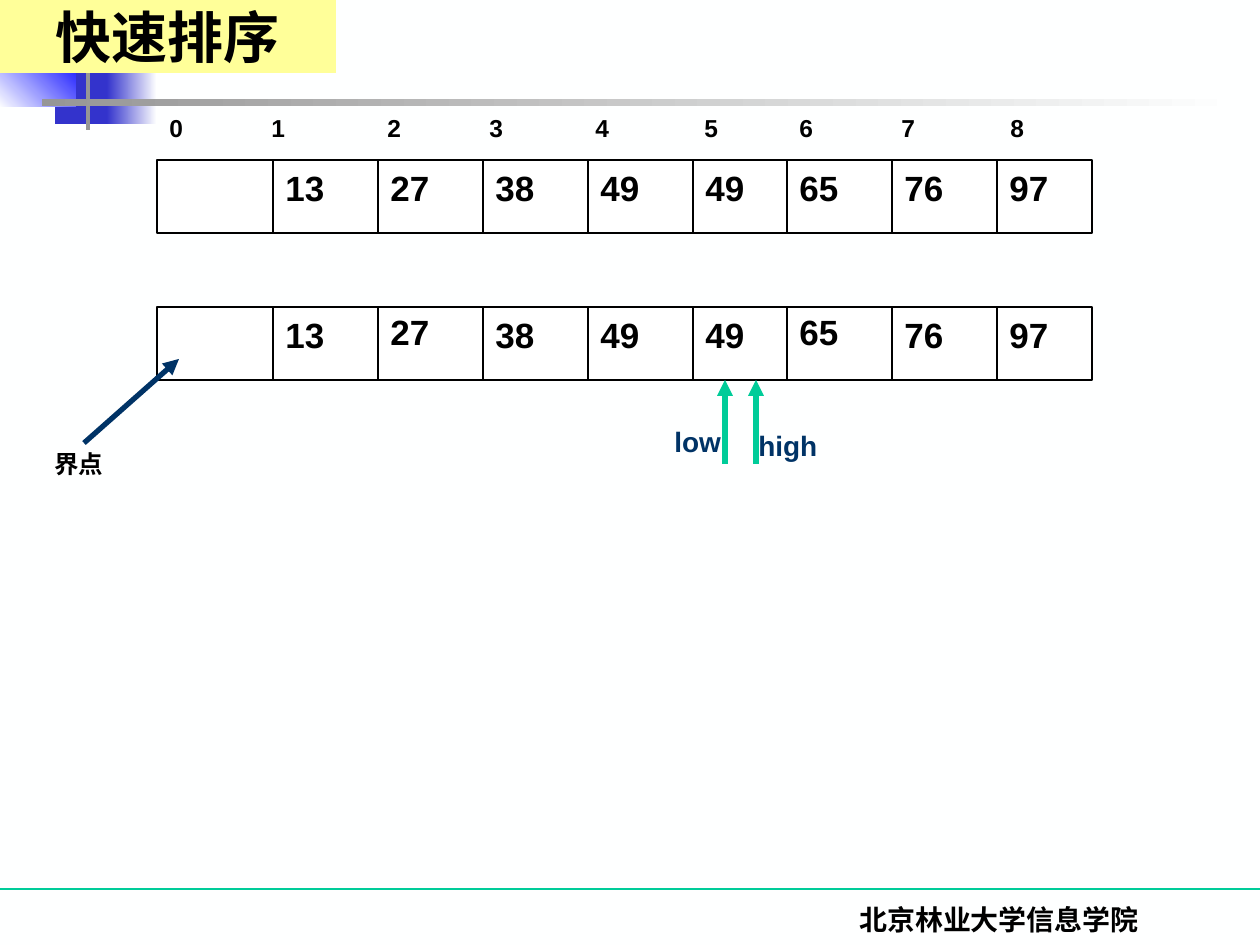
from pptx import Presentation
from pptx.dml.color import RGBColor
from pptx.enum.shapes import MSO_CONNECTOR as CONNECTOR, MSO_SHAPE as SHAPE
from pptx.enum.text import MSO_ANCHOR as ANCHOR, MSO_AUTO_SIZE as AUTO_SIZE, PP_ALIGN as ALIGN
from pptx.oxml.ns import qn
from pptx.util import Pt
from lxml.etree import SubElement

PX = 914400 / 126
COLORS = {
    "background": "FEFFFF", "white": "FFFFFF", "black": "000000", "navy": "003366",
    "indigo": "3333CC", "blue": "0000FF", "gray": "969696", "green": "00CC99",
    "yellow": "FFFF99",
}
SORTED_VALUES = [13, 27, 38, 49, 49, 65, 76, 97]
DIVIDERS = [116, 221, 326, 431, 536, 630, 735, 840]
INDEX_TABS = [102, 218, 320, 426, 535, 630, 732, 841]


def emu(*lengths):
    return [round(length * PX) for length in lengths]


def color(name):
    return RGBColor.from_string(COLORS[name])


def format_text(shape, text, size, name="black", font="Arial", align=ALIGN.LEFT,
                anchor=ANCHOR.TOP, auto_size=AUTO_SIZE.SHAPE_TO_FIT_TEXT, tabs=()):
    frame = shape.text_frame
    frame.text = text
    frame_format = {"word_wrap": True, "auto_size": auto_size, "vertical_anchor": anchor}
    for key, value in frame_format.items():
        setattr(frame, key, value)
    paragraph = frame.paragraphs[0]
    paragraph.alignment = align
    if tabs:
        tab_list = SubElement(paragraph._p.get_or_add_pPr(), qn("a:tabLst"))
        for position in emu(*tabs):
            SubElement(tab_list, qn("a:tab"), pos=str(position), algn="l")
    for key, value in {"size": Pt(size), "bold": True, "name": font}.items():
        setattr(paragraph.font, key, value)
    paragraph.font.color.rgb = color(name)


def add_text(slide, box, text, size, **options):
    shape = slide.shapes.add_textbox(*emu(*box))
    format_text(shape, text, size, **options)


def add_line(slide, start, end, name, width=0.75, arrow=False):
    line = slide.shapes.add_connector(CONNECTOR.STRAIGHT, *emu(*start, *end))
    line.line.color.rgb = color(name)
    line.line.width = Pt(width)
    if arrow:
        SubElement(line.line._get_or_add_ln(), qn("a:tailEnd"), type="triangle")
    SubElement(line._element.spPr, qn("a:effectLst"))


def add_rectangle(slide, box, fill, outline=None, angle=0):
    """Fill with one colour name, or with a gradient between a pair of them."""
    shape = slide.shapes.add_shape(SHAPE.RECTANGLE, *emu(*box))
    shape.shadow.inherit = False
    if isinstance(fill, tuple):
        shape.fill.gradient()
        shape.fill.gradient_angle = angle
        for stop, name in zip(shape.fill.gradient_stops, fill):
            stop.color.rgb = color(name)
    else:
        shape.fill.solid()
        shape.fill.fore_color.rgb = color(fill)
    if outline:
        shape.line.color.rgb = color(outline)
        shape.line.width = Pt(0.75)
    else:
        shape.line.fill.background()


def add_ornament(slide, left, top):
    parts = [
        ((55, 58, 58, 66), "indigo", 0),
        ((107, 58, 50, 66), ("indigo", "background"), 0),
        ((-1, 48, 77, 59), ("background", "blue"), 45),
        ((86, -15, 4, 145), "gray", 0),
        ((42, 99, 1198, 7), ("gray", "background"), 0),
    ]
    for (x, y, width, height), fill, angle in parts:
        add_rectangle(slide, (left + x, top + y, width, height), fill, angle=angle)


def add_title(slide, box):
    title = slide.shapes.title
    for key, value in zip(("left", "top", "width", "height"), emu(*box)):
        setattr(title, key, value)
    title.fill.solid()
    title.fill.fore_color.rgb = color("yellow")
    format_text(title, "快速排序", 32, font="Times New Roman", align=ALIGN.CENTER,
                anchor=ANCHOR.MIDDLE, auto_size=AUTO_SIZE.NONE)
    slide.shapes.element.append(title.element)  # in front of the ornament


def add_array(slide, box, raised=()):
    """Draw the cells; values at the raised positions sit slightly higher."""
    left, top, width, height = box
    add_rectangle(slide, box, "white", outline="black")
    for position, (offset, value) in enumerate(zip(DIVIDERS, SORTED_VALUES), start=1):
        x = left + offset
        add_line(slide, (x, top), (x, top + height), "black")
        y = top - 3 if position in raised else top
        add_text(slide, (x, y, 84, 55), str(value), 20)


def add_indices(slide, box):
    add_text(slide, box, "\t".join(map(str, range(9))), 14, tabs=INDEX_TABS)


def add_pointer(slide, tip, text, text_offset):
    x, y = tip
    add_line(slide, (x, y + 84), tip, "green", 3, arrow=True)
    dx, dy = text_offset
    add_text(slide, (x + dx, y + dy, 116, 47), text, 16, name="navy")


def add_boundary_note(slide, left, top):
    add_text(slide, (left, top, 105, 43), "界点", 14)
    add_line(slide, (left + 42, top), (left + 137, top - 84), "navy", 3, arrow=True)


def add_footer(slide, left, top, width):
    add_line(slide, (left, top), (left + width, top), "green")
    add_text(slide, (left + 738, top + 7, 522, 63), "北京林业大学信息学院", 16,
             font="Times New Roman", align=ALIGN.CENTER, auto_size=AUTO_SIZE.NONE)


def main():
    presentation = Presentation()
    presentation.slide_width, presentation.slide_height = emu(1260, 945)
    slide = presentation.slides.add_slide(presentation.slide_layouts[5])
    slide.background.fill.solid()
    slide.background.fill.fore_color.rgb = color("background")

    add_footer(slide, 0, 889, 1260)
    add_ornament(slide, 0, 0)
    add_title(slide, (0, 0, 336, 73))
    add_indices(slide, (157, 107, 935, 43))
    add_array(slide, (157, 160, 935, 73))
    add_array(slide, (157, 307, 935, 73), raised=(2, 6))
    add_pointer(slide, (756, 380), "high", (-10, 42))
    add_pointer(slide, (725, 380), "low", (-63, 38))
    add_boundary_note(slide, 42, 443)
    presentation.save("out.pptx")


if __name__ == "__main__":
    main()
